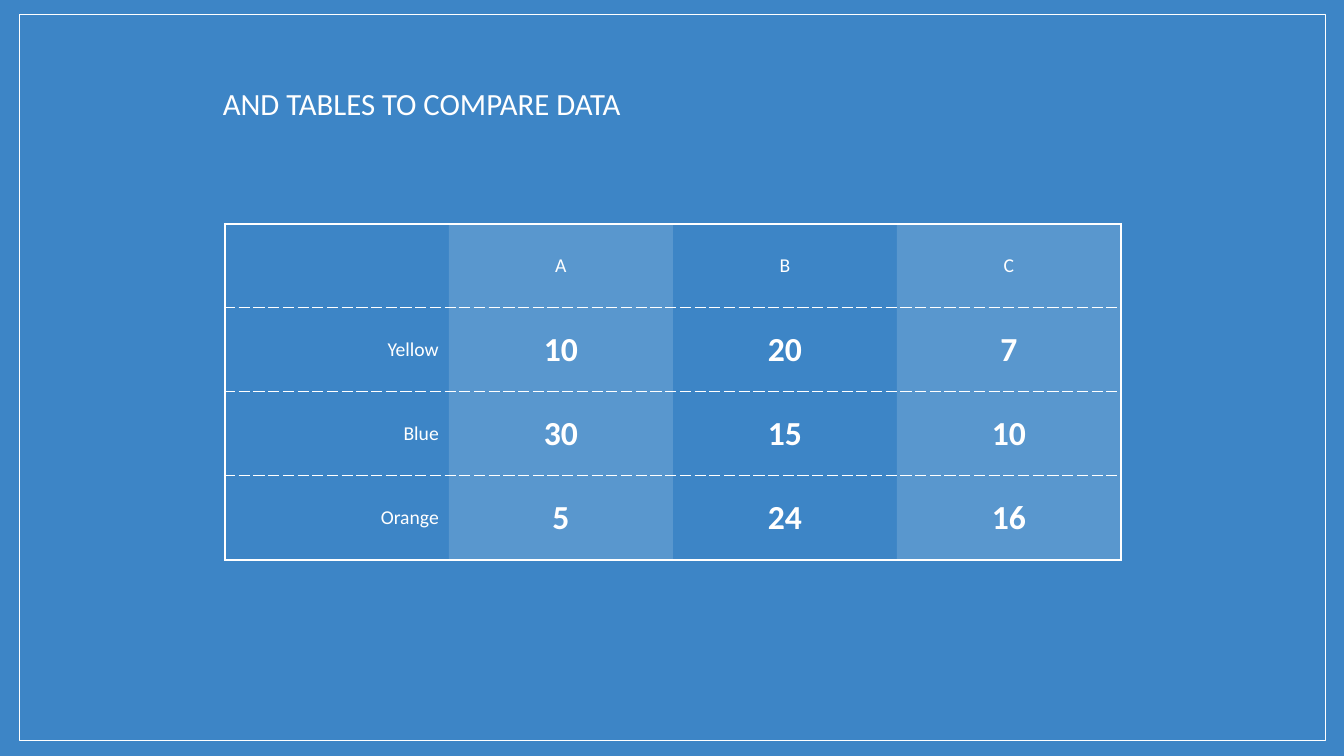
from lxml import etree
from pptx import Presentation, util as u
from pptx.dml.color import RGBColor
from pptx.enum import shapes, text
from pptx.oxml.ns import qn

HUES = {"back": "3D85C6", "ink": "FFFFFF"}
FONT = "Calibri"
DATA = [
    ["", "A", "B", "C"],
    ["Yellow", "10", "20", "7"],
    ["Blue", "30", "15", "10"],
    ["Orange", "5", "24", "16"],
]
SOLID, DASH = (1.5, "solid"), (0.75, "dash")


class Board:
    """Style and current slide, on a grid of 60 columns by 90 rows."""

    def __init__(self, deck):
        self.col, self.row = deck.slide_width / 60, deck.slide_height / 90
        self.slide = deck.slides.add_slide(deck.slide_layouts[5])
        self.tint(self.slide.background.fill, "back")

    def place(self, x, y, w, h):
        return (round(x * self.col), round(y * self.row),
                round(w * self.col), round(h * self.row))

    def tint(self, fill, hue):
        fill.solid()
        fill.fore_color.rgb = RGBColor.from_string(HUES[hue])

    def label(self, frame, words, size, align, bold=False):
        para = frame.paragraphs[0]
        para.alignment = align
        run = para.add_run()
        run.text = words
        run.font.name, run.font.size, run.font.bold = FONT, u.Pt(size), bold
        run.font.color.rgb = RGBColor.from_string(HUES["ink"])

    def pad(self, item):
        item.margin_left = item.margin_right = u.Inches(0.1)
        item.margin_top = item.margin_bottom = u.Inches(0.1)
        item.vertical_anchor = text.MSO_ANCHOR.MIDDLE

    def frame(self, *box):
        rect = self.slide.shapes.add_shape(
            shapes.MSO_SHAPE.RECTANGLE, *self.place(*box))
        rect.shadow.inherit = False
        rect.fill.background()
        self.tint(rect.line.fill, "ink")
        rect.line.width = u.Pt(0.75)

    def title(self, words, *box):
        head = self.slide.shapes.title
        head.left, head.top, head.width, head.height = self.place(*box)
        body = head.text_frame
        body.auto_size, body.word_wrap = text.MSO_AUTO_SIZE.NONE, True
        self.pad(body)
        self.label(body, words, 22, text.PP_ALIGN.LEFT)

    def edge(self, cell, lines):
        # Borders stand before the fill: left, right, top, bottom
        props = cell._tc.get_or_add_tcPr()
        for spot, (side, style) in enumerate(zip("LRTB", lines)):
            line = etree.Element(qn(f"a:ln{side}"))
            props.insert(spot, line)
            if style is None:
                etree.SubElement(line, qn("a:noFill"))
                continue
            width, dash = style
            line.set("w", str(u.Pt(width)))
            fill = etree.SubElement(line, qn("a:solidFill"))
            etree.SubElement(fill, qn("a:srgbClr"), val=HUES["ink"])
            etree.SubElement(line, qn("a:prstDash"), val=dash)

    def shade(self, cell, share):
        self.tint(cell.fill, "ink")
        hue = cell._tc.tcPr.find(".//" + qn("a:srgbClr"))
        etree.SubElement(hue, qn("a:alpha"), val=str(share * 1000))

    def table(self, data, *box):
        high, wide = len(data), len(data[0])
        grid = self.slide.shapes.add_table(
            high, wide, *self.place(*box)).table
        grid.first_row = grid.horz_banding = False
        for r, line in enumerate(data):
            for c, words in enumerate(line):
                cell = grid.cell(r, c)
                self.pad(cell)
                # Every second column is lighter
                if c % 2:
                    self.shade(cell, 15)
                else:
                    cell.fill.background()
                self.edge(cell, (
                    SOLID if c == 0 else None,
                    SOLID if c == wide - 1 else None,
                    SOLID if r == 0 else DASH,
                    SOLID if r == high - 1 else DASH))
                if words:
                    value = r > 0 and c > 0
                    align = (text.PP_ALIGN.CENTER if c
                             else text.PP_ALIGN.RIGHT)
                    self.label(cell.text_frame, words,
                               24 if value else 14, align, value)


def main():
    deck = Presentation()
    deck.slide_width, deck.slide_height = u.Inches(13.33), u.Inches(7.5)
    board = Board(deck)
    # Border around the slide
    board.frame(0.86, 1.68, 58.32, 86.52)
    # Heading
    board.title("AND TABLES TO COMPARE DATA", 9.5, 8.64, 40.5, 7.2)
    # Comparison table
    board.table(DATA, 10.04, 26.64, 40, 40)
    deck.save("out.pptx")


if __name__ == "__main__":
    main()
